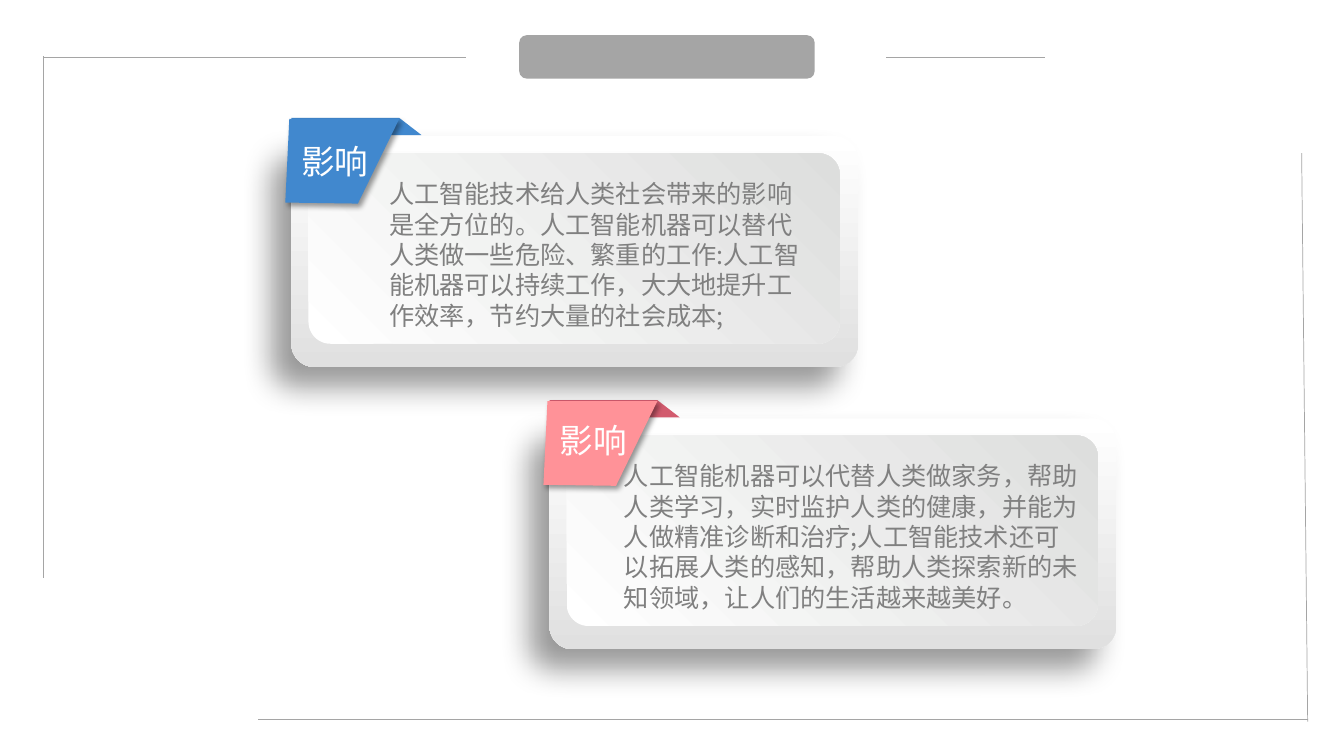
from dataclasses import dataclass

from lxml.etree import SubElement
from pptx import Presentation
from pptx.dml.color import RGBColor
from pptx.enum.shapes import MSO_CONNECTOR, MSO_SHAPE
from pptx.oxml.ns import qn
from pptx.util import Pt

PX = 9144  # EMU per px, 100 px to the inch


@dataclass(frozen=True)
class Theme:
    grey: str = "A5A5A5"
    white: str = "FFFFFF"
    body: str = "808080"
    card_end: str = "E0E0E0"
    panel_end: str = "DDDEDD"
    blue: str = "4188CE"
    pink: str = "FF9298"
    dark_pink: str = "D25B6E"
    label_font: str = "Noto Sans CJK SC"
    body_font: str = "Noto Sans CJK JP"
    label_size: int = 24
    body_size: int = 18
    line_pitch: float = 1.205
    rule_width: float = 0.5


THEME = Theme()


def rgb(color):
    return RGBColor.from_string(color)


def add_shadow(shape, blur, distance, angle):
    effects = shape._element.spPr.find(qn("a:effectLst"))
    shadow = SubElement(effects, qn("a:outerShdw"), blurRad=str(Pt(blur)),
                        dist=str(Pt(distance)), dir=str(angle * 60000),
                        algn="ctr", rotWithShape="0")
    color = SubElement(shadow, qn("a:srgbClr"), val="000000")
    SubElement(color, qn("a:alpha"), val="40000")


def finish(shape, color):
    shape.shadow.inherit = False
    shape.line.fill.background()
    shape.fill.solid()
    shape.fill.fore_color.rgb = rgb(color)
    return shape


def add_round(slide, box, color, corner):
    left, top, width, height = box
    shape = slide.shapes.add_shape(MSO_SHAPE.ROUNDED_RECTANGLE, left * PX, top * PX,
                                   width * PX, height * PX)
    shape.adjustments[0] = corner
    return finish(shape, color)


def shade(shape, end_color, angle):
    shape.fill.gradient()
    shape.fill.gradient_angle = angle
    for stop, color in zip(shape.fill.gradient_stops, (THEME.white, end_color)):
        stop.color.rgb = rgb(color)


def add_outline(slide, origin, points, color):
    left, top = origin
    corners = [(left + x, top + y) for x, y in points]
    builder = slide.shapes.build_freeform(*corners[0], scale=PX)
    builder.add_line_segments(corners[1:], close=True)
    return finish(builder.convert_to_shape(), color)


def add_text(slide, box, text, font_name, size, color):
    left, top, width, height = box
    frame = slide.shapes.add_textbox(left * PX, top * PX, width * PX, height * PX).text_frame
    frame.word_wrap = True
    paragraph = frame.paragraphs[0]
    paragraph.line_spacing = Pt(size * THEME.line_pitch)
    run = paragraph.add_run()
    run.text = text
    run.font.name = font_name
    run.font.size = Pt(size)
    run.font.color.rgb = rgb(color)
    SubElement(run.font._element, qn("a:ea"), typeface=font_name)


def add_frame(slide):
    """Thin rules round the slide and the grey title bar."""
    rules = [
        (43, 56, 43, 573),
        (43, 57, 462, 57),
        (1291, 152, 1297, 716),
        (1297, 714, 256, 714),
        (879, 57, 1036, 57),
    ]
    for rule in rules:
        connector = slide.shapes.add_connector(MSO_CONNECTOR.STRAIGHT,
                                               *(value * PX for value in rule))
        connector.line.color.rgb = rgb(THEME.grey)
        connector.line.width = Pt(THEME.rule_width)
        SubElement(connector._element.spPr, qn("a:effectLst"))
    add_round(slide, (515, 35, 293, 43), THEME.grey, 0.17)


def add_card(slide, box, ribbon_color, fold_color, label, label_drop, body, body_inset, body_width):
    left, top, width, height = box

    # Raised card and its inner panel
    card = add_round(slide, box, THEME.white, 0.1)
    shade(card, THEME.card_end, 270)
    add_shadow(card, 22, 20, 135)
    panel = add_round(slide, (left + 17, top + 17, width - 35, height - 40), THEME.white, 0.115)
    shade(panel, THEME.panel_end, 45)

    # Folded ribbon with its label
    add_outline(slide, (left, top), [(0, -18), (107, -18), (129, -1), (0, -1)], fold_color)
    ribbon = add_outline(slide, (left, top), [(-2, -17), (107, -17), (66, 67), (-6, 66)],
                         ribbon_color)
    add_shadow(ribbon, 4, 3, 45)
    add_text(slide, (left, top + label_drop, 98, 50), label,
             THEME.label_font, THEME.label_size, THEME.white)

    # Body text
    add_text(slide, (left + body_inset, top + 37, body_width, 162), body,
             THEME.body_font, THEME.body_size, THEME.body)


def main():
    presentation = Presentation()
    presentation.slide_width = 1333 * PX
    presentation.slide_height = 750 * PX
    slide = presentation.slides.add_slide(presentation.slide_layouts[6])

    add_frame(slide)
    add_card(slide, (289, 135, 562, 229), THEME.blue, THEME.blue, "影响", 0,
             "人工智能技术给人类社会带来的影响是全方位的。人工智能机器可以替代人类做一些危险、"
             "繁重的工作:人工智能机器可以持续工作，大大地提升工作效率，节约大量的社会成本;",
             87, 432)
    add_card(slide, (545, 415, 562, 229), THEME.pink, THEME.dark_pink, "影响", -3,
             "人工智能机器可以代替人类做家务，帮助人类学习，实时监护人类的健康，并能为人做精准诊断和"
             "治疗;人工智能技术还可以拓展人类的感知，帮助人类探索新的未知领域，让人们的生活越来越美好。",
             64, 475)
    presentation.save("out.pptx")


if __name__ == "__main__":
    main()
